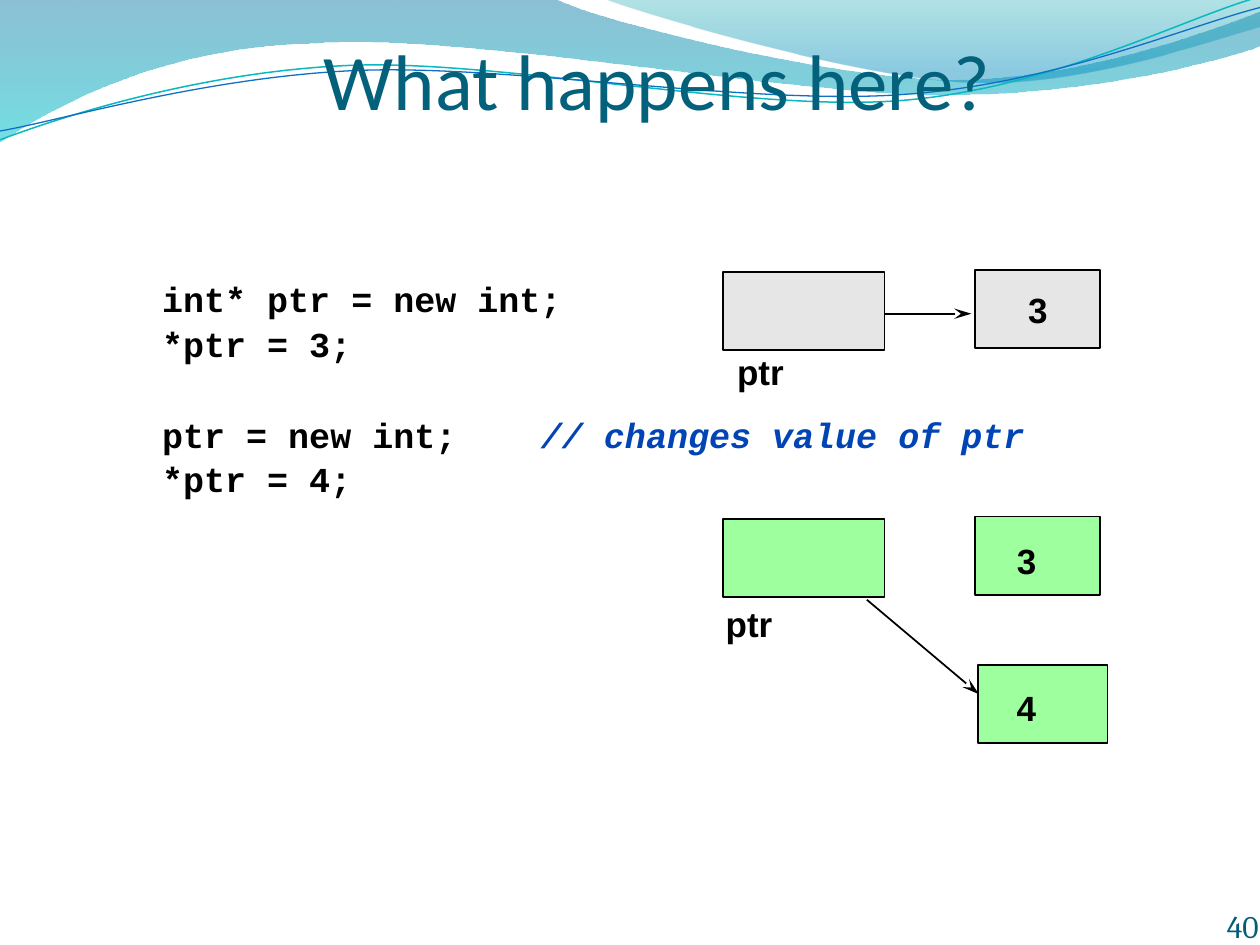
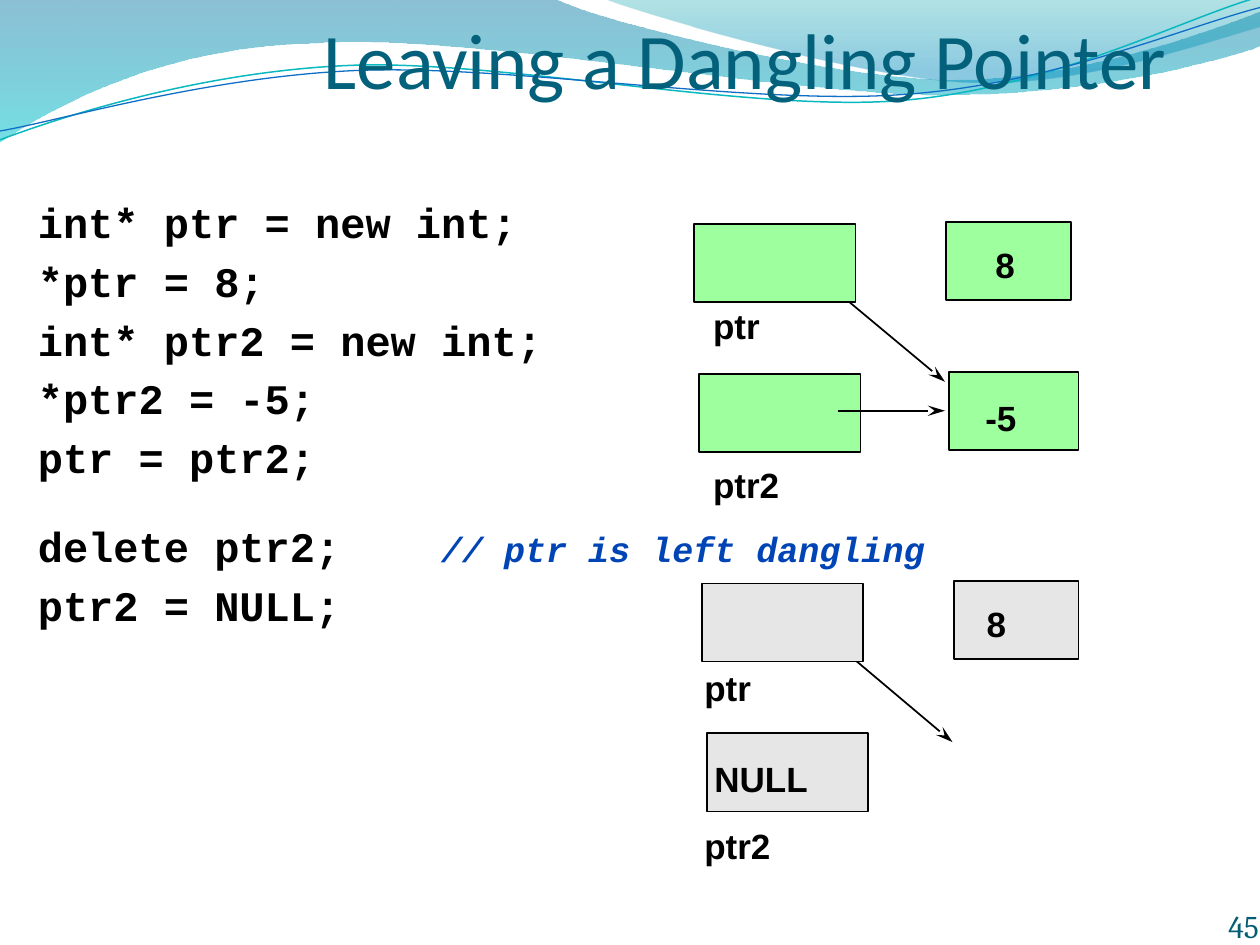
from lxml import etree
from pptx import Presentation
from pptx.dml.color import RGBColor
from pptx.enum import shapes, text
from pptx.oxml.ns import qn
from pptx.util import Inches, Pt

BLACK, COMMENT, TITLE, NUMBER = "000000", "0044B5", "04617B", "045D75"
GRAY, GREEN = "E6E6E6", "9EFF9E"
BOX_H = 0.62


def style(font, name, size, color, bold=False, italic=False):
    font.name, font.size = name, Pt(size)
    font.bold, font.italic = bold, italic
    font.color.rgb = RGBColor.from_string(color)


def draw_path(s, start, pieces, close):
    """Draw straight (2 numbers) and cubic (6 numbers) pieces, in inches."""
    points = [(Inches(piece[i]), Inches(piece[i + 1]))
              for piece in pieces for i in range(0, len(piece), 2)]
    builder = s.shapes.build_freeform(Inches(start[0]), Inches(start[1]))
    builder.add_line_segments(points, close=close)
    shape = builder.convert_to_shape()
    shape.shadow.inherit = False
    segments = iter(list(shape._element.iter(qn("a:lnTo"))))
    for piece in pieces:
        segment = next(segments)
        if len(piece) == 6:
            # Three consecutive points become one cubic curve
            segment.tag = qn("a:cubicBezTo")
            for _ in range(2):
                extra = next(segments)
                segment.append(extra[0])
                extra.getparent().remove(extra)
    return shape


# start, pieces, gradient stops (position, colour, opacity)
bands = [
    ((0, 0), [(4.4, -0.01), (4.76, 0.17, 6.64, 0.63, 7.58, 0.63),
              (8.53, 0.63, 9.58, 0.26, 10, 0.09), (10.01, 0.36),
              (9.83, 0.44, 8.7, 0.76, 7.46, 0.75), (6.22, 0.75, 3.82, 0.28, 2.57, 0.34),
              (1.29, 0.36, 0.46, 0.83, -0.01, 1.13)],
     [(0, "0074A1", 45), (1, "00C6CF", 55)]),
    ((4.79, -0.01), [(5.09, 0.11, 6.82, 0.62, 7.69, 0.65),
                     (8.56, 0.69, 9.61, 0.32, 10, 0.21), (10, 0)],
     [(0, "00A1A9", 30), (0.8, "008BBF", 45)]),
]
# start, pieces, colour, width
waves = [
    ((0, 1.11), [(0.48, 0.93, 1.58, 0.57, 2.77, 0.52), (3.95, 0.47, 5.93, 0.89, 7.13, 0.8),
                 (8.33, 0.71, 9.38, 0.15, 9.98, -0.02)], "0AB8BF", 0.85),
    ((0, 1.04), [(0.47, 0.96, 1.64, 0.61, 2.83, 0.56), (4.03, 0.51, 5.97, 0.84, 7.17, 0.75),
                 (8.36, 0.67, 9.41, 0.21, 10, 0.06)], "0F6FC6", 0.75),
]

# code: (gap before in points, code, comment)
# boxes: (left, top, width, fill, value, left inset, top inset)
# arrows: (from, to, whether it lies behind the boxes)
slides = [
    dict(title="What happens here?", title_at=(2.57, 0.58, 7.43, 0.42), number="40",
         body_at=(1.02, 1.81, 8.98, 4.94), body_inset=0.43, size=20, spacing=0.9,
         code=[(0, "int* ptr = new int;", ""),
               (4.1, "*ptr = 3;", ""),
               (30.2, "ptr = new int;    ", "// changes value of ptr"),
               (4.1, "*ptr = 4;", "")],
         boxes=[(5.74, 2.16, 1.28, GRAY, "", 0, 0), (7.74, 2.14, 0.99, GRAY, "3", 0.42, 0.15),
                (5.74, 4.12, 1.28, GREEN, "", 0, 0), (7.74, 4.1, 0.99, GREEN, "3", 0.33, 0.18),
                (7.76, 5.28, 1.03, GREEN, "4", 0.31, 0.17)],
         arrows=[((6.85, 2.49), (7.71, 2.49), True),
                 ((6.88, 4.76), (7.77, 5.51), True)],
         labels=[(5.85, 2.78, "ptr"), (5.76, 4.78, "ptr")]),
    dict(title="Leaving a Dangling Pointer", title_at=(2.57, 0.33, 7.43, 0.51), number="45",
         body_at=(0, 1.51, 8.9, 4.9), body_inset=0.05, size=24, spacing=1.0,
         code=[(0, "int* ptr = new int;", ""),
               (4.8, "*ptr = 8;", ""),
               (4.8, "int* ptr2 = new int;", ""),
               (4.8, "*ptr2 = -5;", ""),
               (4.8, "ptr = ptr2;", ""),
               (22.2, "delete ptr2;    ", "// ptr is left dangling"),
               (4.8, "ptr2 = NULL;", "")],
         boxes=[(5.51, 1.78, 1.28, GREEN, "", 0, 0), (5.55, 2.97, 1.28, GREEN, "", 0, 0),
                (7.51, 1.76, 0.99, GREEN, "8", 0.39, 0.17),
                (7.53, 2.95, 1.03, GREEN, "-5", 0.29, 0.2),
                (5.57, 4.63, 1.28, GRAY, "", 0, 0),
                (5.61, 5.82, 1.28, GRAY, "NULL", 0.06, 0.19),
                (7.57, 4.61, 0.99, GRAY, "8", 0.26, 0.17)],
         arrows=[((6.6, 2.28), (7.5, 3.03), True),
                 ((6.65, 3.26), (7.5, 3.26), False),
                 ((6.67, 5.14), (7.56, 5.89), True)],
         labels=[(5.66, 2.42, "ptr"), (5.66, 3.68, "ptr2"),
                 (5.59, 5.29, "ptr"), (5.59, 6.54, "ptr2")]),
]

prs = Presentation()
prs.slide_width, prs.slide_height = Inches(10), Inches(7.5)
layout = prs.slide_layouts[1]

for slide_no, spec in enumerate(slides):
    s = prs.slides.add_slide(layout)

    # The header art is drawn once and moved to the shared layout
    if slide_no == 0:
        art = []
        for start, pieces, stops in bands:
            band = draw_path(s, start, pieces, True)
            band.line.fill.background()
            band.fill.gradient()
            band.fill.gradient_angle = 270
            for stop, (position, color, opacity) in zip(band.fill.gradient_stops, stops):
                stop.position = position
                stop.color.rgb = RGBColor.from_string(color)
            for clr, (_, _, opacity) in zip(band._element.iter(qn("a:srgbClr")), stops):
                etree.SubElement(clr, qn("a:alpha")).set("val", str(opacity * 1000))
            art.append(band)
        for start, pieces, color, width in waves:
            wave = draw_path(s, start, pieces, False)
            wave.fill.background()
            wave.line.color.rgb = RGBColor.from_string(color)
            wave.line.width = Pt(width)
            art.append(wave)
        for i, shape in enumerate(art):
            layout.shapes._spTree.insert(2 + i, shape._element)

    # Title
    title = s.shapes.title
    title.left, title.top, title.width, title.height = map(Inches, spec["title_at"])
    tf = title.text_frame
    tf.text = spec["title"]
    tf.auto_size = text.MSO_AUTO_SIZE.NONE
    tf.vertical_anchor = text.MSO_ANCHOR.BOTTOM
    tf.margin_left = tf.margin_right = tf.margin_bottom = 0
    tf.margin_top = Inches(0.05)
    tf.paragraphs[0].alignment = text.PP_ALIGN.LEFT
    style(tf.paragraphs[0].runs[0].font, "Calibri", 45, TITLE)

    # Code
    body = s.placeholders[1]
    body.left, body.top, body.width, body.height = map(Inches, spec["body_at"])
    tf = body.text_frame
    tf.auto_size = text.MSO_AUTO_SIZE.NONE
    tf.vertical_anchor = text.MSO_ANCHOR.TOP
    tf.margin_top = Inches(spec["body_inset"])
    for i, (gap, code, comment) in enumerate(spec["code"]):
        p = tf.paragraphs[0] if i == 0 else tf.add_paragraph()
        pPr = p._p.get_or_add_pPr()
        pPr.set("marL", str(Pt(spec["size"] * 0.6)))
        pPr.set("indent", "0")
        etree.SubElement(pPr, qn("a:buNone"))
        p.space_before, p.line_spacing = Pt(gap), spec["spacing"]
        r = p.add_run()
        r.text = code
        style(r.font, "Courier New", spec["size"], BLACK, bold=True)
        if comment:
            r = p.add_run()
            r.text = comment
            style(r.font, "Courier New", 20, COMMENT, bold=True, italic=True)

    # Memory boxes
    for left, top, width, fill, value, inset_left, inset_top in spec["boxes"]:
        box = s.shapes.add_shape(shapes.MSO_SHAPE.RECTANGLE, Inches(left), Inches(top),
                                 Inches(width), Inches(BOX_H))
        box.shadow.inherit = False
        box.fill.solid()
        box.fill.fore_color.rgb = RGBColor.from_string(fill)
        box.line.color.rgb = RGBColor.from_string(BLACK)
        box.line.width = Pt(1)
        if value:
            tf = box.text_frame
            tf.text = value
            tf.vertical_anchor = text.MSO_ANCHOR.TOP
            tf.margin_left, tf.margin_top = Inches(inset_left), Inches(inset_top)
            tf.margin_right = tf.margin_bottom = 0
            tf.paragraphs[0].alignment = text.PP_ALIGN.LEFT
            style(tf.paragraphs[0].runs[0].font, "Arial", 20, BLACK, bold=True)

    # Pointer arrows
    for start, end, behind in spec["arrows"]:
        arrow = s.shapes.add_connector(shapes.MSO_CONNECTOR.STRAIGHT,
                                       *map(Inches, start + end))
        arrow.line.color.rgb = RGBColor.from_string(BLACK)
        arrow.line.width = Pt(1)
        head = etree.SubElement(arrow.line._get_or_add_ln(), qn("a:tailEnd"))
        head.set("type", "stealth")
        head.set("len", "lg")
        etree.SubElement(arrow._element.spPr, qn("a:effectLst"))
        if behind:
            s.shapes._spTree.insert(2, arrow._element)

    # Variable names and the slide number
    captions = [(left, top, 0.8, 0.32, name, "Arial", 20, BLACK, True)
                for left, top, name in spec["labels"]]
    captions.append((7.91, 7, 2.08, 0.5, spec["number"], "Cambria", 18, NUMBER, False))
    for left, top, width, height, words, font, size, color, bold in captions:
        tf = s.shapes.add_textbox(Inches(left), Inches(top), Inches(width),
                                  Inches(height)).text_frame
        tf.text = words
        tf.word_wrap = True
        tf.margin_left = tf.margin_top = tf.margin_right = tf.margin_bottom = 0
        style(tf.paragraphs[0].runs[0].font, font, size, color, bold)
    tf.vertical_anchor = text.MSO_ANCHOR.BOTTOM
    tf.paragraphs[0].alignment = text.PP_ALIGN.RIGHT

prs.save("out.pptx")
